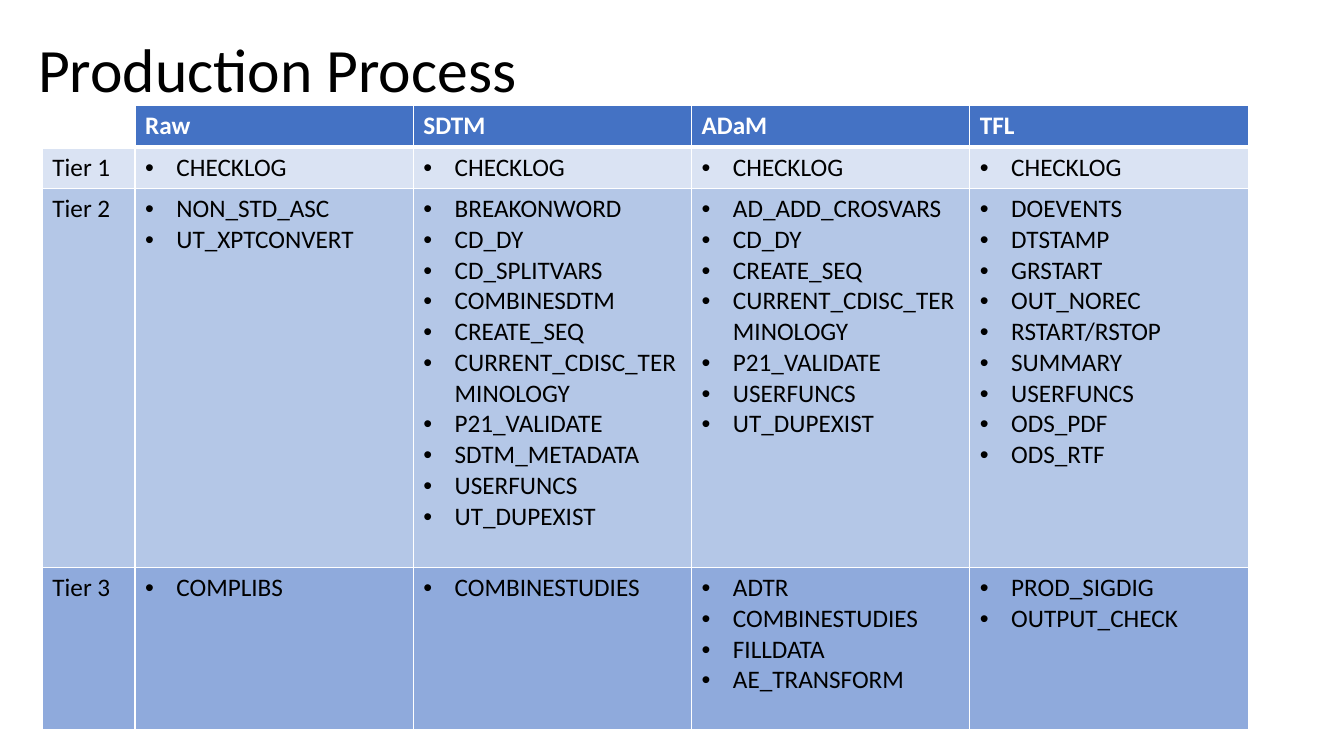
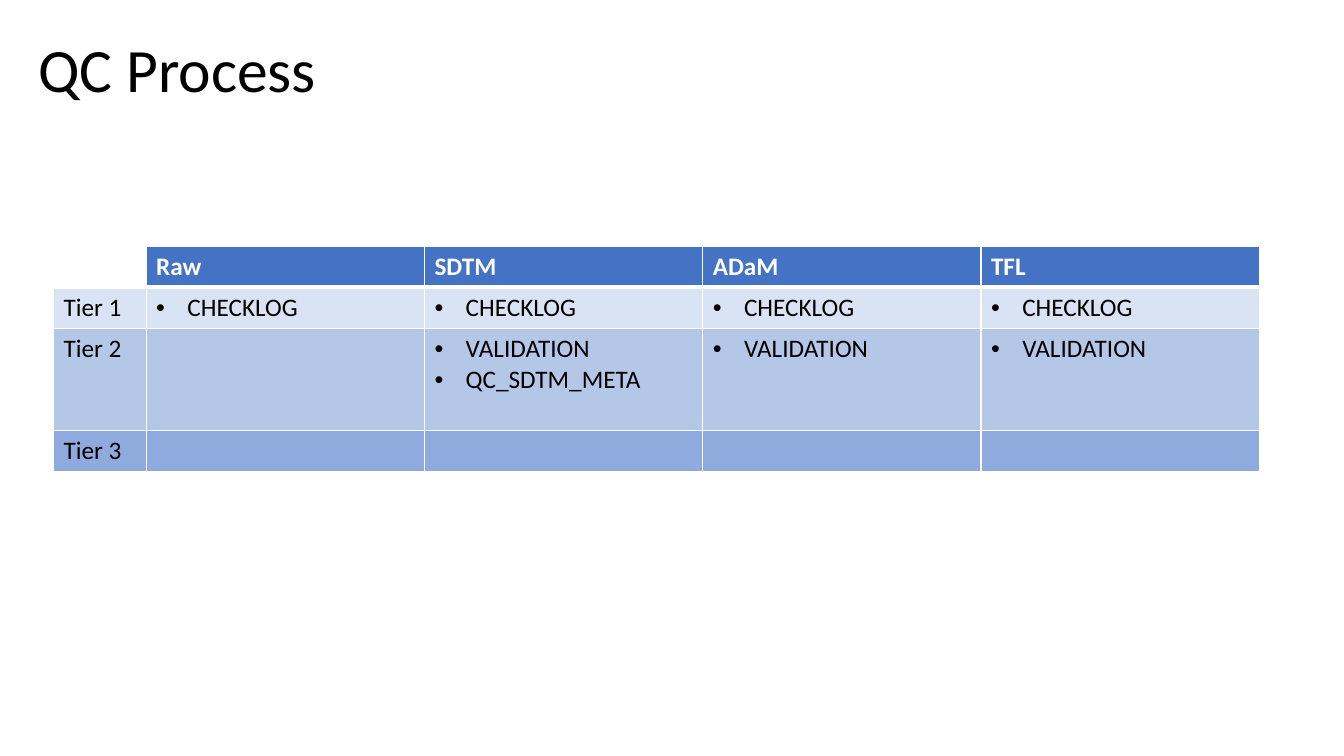
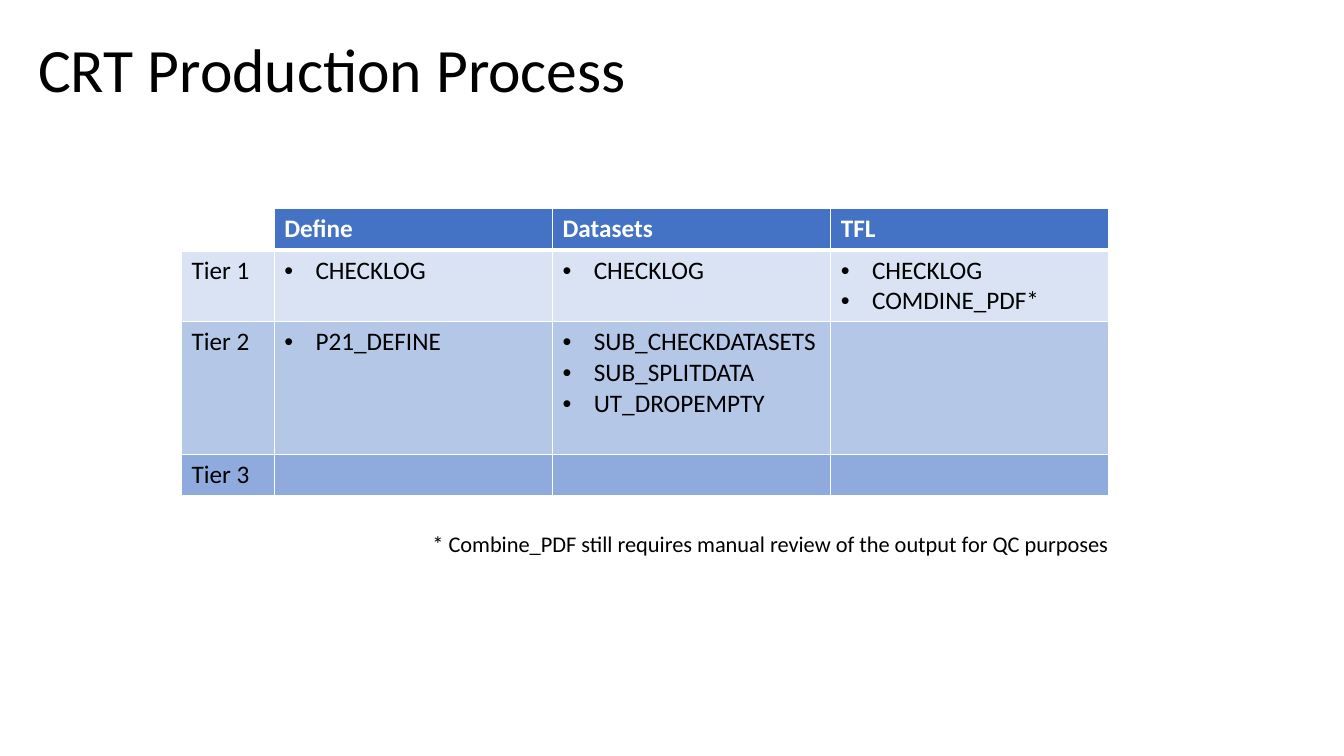
from lxml.etree import SubElement
from pptx import Presentation
from pptx.dml.color import RGBColor
from pptx.enum.text import MSO_ANCHOR
from pptx.oxml.ns import qn
from pptx.util import Inches, Pt


def color(value):
    return RGBColor.from_string(value)


class Deck:
    FONT = "Calibri"
    BLACK, WHITE = "000000", "FFFFFF"
    HEADER_FILL = "4472C4"
    TIER_FILLS = ["DAE3F3", "B4C7E7", "8FAADC"]
    TIER_WIDTH, STAGE_WIDTH = 0.92, 2.76
    HEADER_HEIGHT = 0.41
    INDENT = 0.31

    def __init__(self):
        self.presentation = Presentation()
        self.presentation.slide_width = Inches(13.33)
        self.presentation.slide_height = Inches(7.5)
        self.slide = None

    def add_slide(self, title):
        layout = self.presentation.slide_layouts[6]
        self.slide = self.presentation.slides.add_slide(layout)
        self.text(title, 0.28, 0.34, 11.5, 44)

    def style(self, paragraph, size, font_color, bold=False):
        font = paragraph.font
        font.name, font.size, font.bold = self.FONT, Pt(size), bold
        font.color.rgb = color(font_color)

    def text(self, words, left, top, width, size):
        box = self.slide.shapes.add_textbox(
            Inches(left), Inches(top), Inches(width), Inches(0.69))
        frame = box.text_frame
        frame.word_wrap = True
        frame.vertical_anchor = MSO_ANCHOR.TOP
        paragraph = frame.paragraphs[0]
        paragraph.text = words
        paragraph.line_spacing = 0.9
        self.style(paragraph, size, self.BLACK)

    def bullet(self, paragraph):
        properties = paragraph._p.get_or_add_pPr()
        properties.set("marL", str(Inches(self.INDENT)))
        properties.set("indent", str(-Inches(self.INDENT)))
        # Bullet marks come before the default run properties
        mark = SubElement(properties, qn("a:buChar"), char="•")
        font = SubElement(properties, qn("a:buFont"), typeface="Arial")
        properties.insert(0, mark)
        properties.insert(0, font)

    def borders(self, cell, bottom):
        properties = cell._tc.get_or_add_tcPr()
        for side, points in (("L", 1), ("R", 1), ("T", 1), ("B", bottom)):
            line = SubElement(properties, qn(f"a:ln{side}"), w=str(Pt(points)))
            fill = SubElement(line, qn("a:solidFill"))
            SubElement(fill, qn("a:srgbClr"), val=self.WHITE)

    def cell(self, cell, words, fill, font_color=BLACK, header=False, bullets=False):
        self.borders(cell, 3 if header else 1)
        cell.fill.solid()
        cell.fill.fore_color.rgb = color(fill)
        cell.text_frame.text = words
        for paragraph in cell.text_frame.paragraphs:
            self.style(paragraph, 18, font_color, header)
            if bullets and words:
                self.bullet(paragraph)

    def tier_table(self, left, top, stages, tiers, tier_heights):
        widths = [self.TIER_WIDTH] + [self.STAGE_WIDTH] * len(stages)
        heights = [self.HEADER_HEIGHT] + tier_heights
        table = self.slide.shapes.add_table(
            len(heights), len(widths), Inches(left), Inches(top),
            Inches(sum(widths)), Inches(sum(heights))).table
        for column, width in zip(table.columns, widths):
            column.width = Inches(width)
        for row, height in zip(table.rows, heights):
            row.height = Inches(height)

        # Header row
        self.cell(table.cell(0, 0), "", self.WHITE, header=True)
        for column, stage in enumerate(stages, 1):
            self.cell(table.cell(0, column), stage, self.HEADER_FILL,
                      self.WHITE, header=True)

        # One row per tier; names in a cell are separated by spaces
        for row, (tier, fill) in enumerate(zip(tiers, self.TIER_FILLS), 1):
            self.cell(table.cell(row, 0), f"Tier {row}", fill)
            for column, names in enumerate(tier, 1):
                self.cell(table.cell(row, column), "\n".join(names.split()),
                          fill, bullets=True)


def main():
    deck = Deck()
    stages = ["Raw", "SDTM", "ADaM", "TFL"]

    # Production
    deck.add_slide("Production Process")
    deck.tier_table(0.42, 1.05, stages, [
        ["CHECKLOG"] * 4,
        ["NON_STD_ASC UT_XPTCONVERT",
         "BREAKONWORD CD_DY CD_SPLITVARS COMBINESDTM CREATE_SEQ "
         "CURRENT_CDISC_TERMINOLOGY P21_VALIDATE SDTM_METADATA USERFUNCS "
         "UT_DUPEXIST",
         "AD_ADD_CROSVARS CD_DY CREATE_SEQ CURRENT_CDISC_TERMINOLOGY "
         "P21_VALIDATE USERFUNCS UT_DUPEXIST",
         "DOEVENTS DTSTAMP GRSTART OUT_NOREC RSTART/RSTOP SUMMARY USERFUNCS "
         "ODS_PDF ODS_RTF"],
        ["COMPLIBS", "COMBINESTUDIES",
         "ADTR COMBINESTUDIES FILLDATA AE_TRANSFORM",
         "PROD_SIGDIG OUTPUT_CHECK"],
    ], [0.41, 3.76, 1.61])

    # Quality control
    deck.add_slide("QC Process")
    deck.tier_table(0.53, 2.44, stages, [
        ["CHECKLOG"] * 4,
        ["", "VALIDATION QC_SDTM_META", "VALIDATION", "VALIDATION"],
        [""] * 4,
    ], [0.41, 1.01, 0.41])

    # CRT production
    deck.add_slide("CRT Production Process")
    deck.tier_table(1.8, 2.07, ["Define", "Datasets", "TFL"], [
        ["CHECKLOG", "CHECKLOG", "CHECKLOG COMDINE_PDF*"],
        ["P21_DEFINE", "SUB_CHECKDATASETS SUB_SPLITDATA UT_DROPEMPTY", ""],
        [""] * 3,
    ], [0.71, 1.32, 0.41])
    deck.text("* Combine_PDF still requires manual review of the output "
              "for QC purposes", 4.19, 5.24, 8.2, 16)

    deck.presentation.save("out.pptx")


if __name__ == "__main__":
    main()
